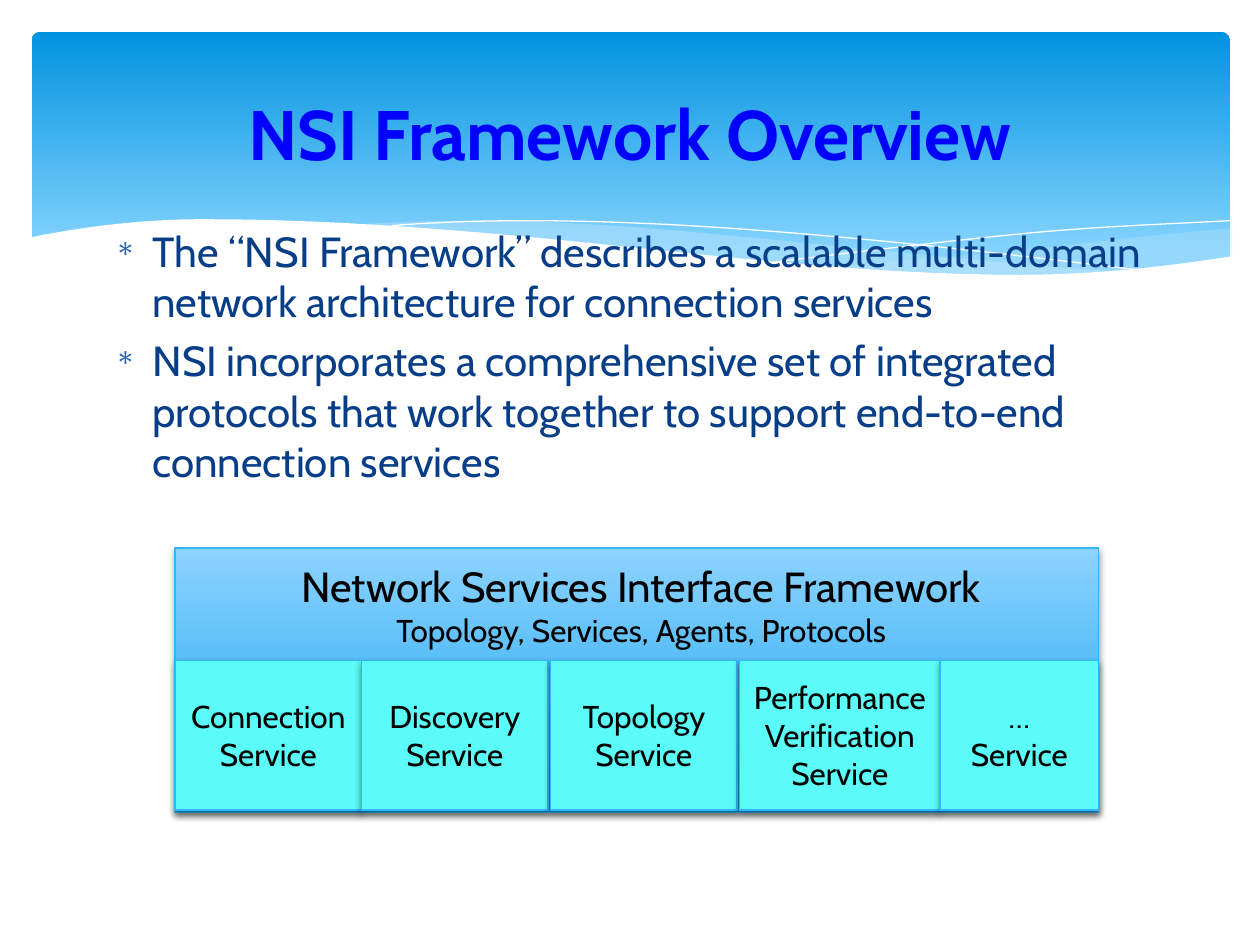
from dataclasses import dataclass
from itertools import pairwise

from lxml.etree import SubElement
from pptx import Presentation
from pptx.dml.color import RGBColor
from pptx.enum.shapes import MSO_SHAPE
from pptx.enum.text import MSO_ANCHOR, MSO_AUTO_SIZE, PP_ALIGN
from pptx.oxml.ns import qn
from pptx.util import Cm, Pt


@dataclass(frozen=True)
class Theme:
    font: str = "Cabin"
    title_size: int = 40
    heading_size: int = 24
    label_size: int = 18
    bullet_percent: int = 70
    title: str = "0000FF"
    body: str = "073E87"
    bullet: str = "2862AA"
    label: str = "000000"
    banner: tuple = (("0293E0", 0), ("83D3FE", 0.9))
    frame: tuple = (("8CD3FF", 0), ("14A2EF", 1))
    service: str = "5AFBF8"
    border: str = "31B6FD"
    pale_wave: str = "C6E7FC"
    white: str = "FFFFFF"
    shadow: str = "000000"


theme = Theme()


def style_text(para, text, size, color, align=PP_ALIGN.CENTER):
    para.text = text
    para.alignment = align
    para.font.name = theme.font
    para.font.size = Pt(size)
    para.font.color.rgb = RGBColor.from_string(color)


def add_block(kind, left, top, width, height, fill, outlined=True):
    block = page.shapes.add_shape(kind, Cm(left), Cm(top), Cm(width), Cm(height))
    block.shadow.inherit = False
    if isinstance(fill, str):
        block.fill.solid()
        block.fill.fore_color.rgb = RGBColor.from_string(fill)
    else:
        block.fill.gradient()
        block.fill.gradient_angle = 270
        for stop, (color, position) in zip(block.fill.gradient_stops, fill):
            stop.color.rgb = RGBColor.from_string(color)
            stop.position = position
    if not outlined:
        block.line.fill.background()
        return block
    block.line.color.rgb = RGBColor.from_string(theme.border)
    block.line.width = Pt(0.75)
    effects = block.element.spPr.find(qn("a:effectLst"))
    shadow = SubElement(effects, qn("a:outerShdw"), blurRad=str(Pt(4)), dist=str(Pt(2)),
                        dir="5400000", rotWithShape="0")
    shade = SubElement(shadow, qn("a:srgbClr"), val=theme.shadow)
    SubElement(shade, qn("a:alpha"), val="38000")
    return block


deck = Presentation()
deck.slide_width, deck.slide_height = Cm(25.4), Cm(19.05)
page = deck.slides.add_slide(deck.slide_layouts[1])
title, body = page.placeholders

banner = add_block(MSO_SHAPE.ROUNDED_RECTANGLE, 0.64, 0.64, 24.15, 4.9, theme.banner, False)
banner.adjustments[0] = 0.034

edge_knots = {
    "right top": [(16.84, 5.38, -0.09), (21.89, 4.9, -0.12), (24.84, 4.6, -0.08)],
    "right bottom": [(16.84, 5.38, 0.07), (20.83, 5.54, 0), (24.84, 5.18, -0.15)],
    "middle top": [(7.32, 4.52, -0.07), (9.68, 4.45, 0), (16.03, 4.88, 0.1), (22.71, 5.49, 0.07)],
    "middle bottom": [(7.32, 4.52, 0.06), (11.46, 4.88, 0.11), (20.83, 5.54, 0),
                      (22.71, 5.49, -0.06)],
    "falling": [(7.9, 4.55, -0.08), (10.62, 4.45, 0), (16.94, 4.78, 0.09), (23.09, 5.46, 0.12)],
    "rising": [(15.62, 5.28, -0.12), (20.52, 4.72, -0.1), (24.82, 4.45, -0.05)],
    "white top": [(0.64, 4.78, -0.2), (4.11, 4.42, 0), (11.4, 4.85, 0.1), (20.57, 5.54, 0),
                  (24.87, 5.16, -0.16)],
    "white bottom": [(0.64, 6.15, 0), (24.87, 6.15, 0)],
}
steps = 16
edges = {}
for name, knots in edge_knots.items():
    edge = [(Cm(knots[0][0]), Cm(knots[0][1]))]
    for (x0, y0, slope0), (x1, y1, slope1) in pairwise(knots):
        span = x1 - x0
        for step in range(1, steps + 1):
            t = step / steps
            blend = t * t * (3 - 2 * t)
            bend = span * t * (1 - t) * (slope0 * (1 - t) - slope1 * t)
            edge.append((Cm(x0 + span * t), Cm(y0 + (y1 - y0) * blend + bend)))
    edges[name] = edge

for top_edge, bottom_edge, color, opacity in [
    ("right top", "right bottom", theme.pale_wave, 29),
    ("middle top", "middle bottom", theme.pale_wave, 40),
    ("falling", None, theme.white, 100),
    ("rising", None, theme.white, 100),
    ("white top", "white bottom", theme.white, 100),
]:
    outline = edges[top_edge] + (edges[bottom_edge][::-1] if bottom_edge else [])
    builder = page.shapes.build_freeform(*outline[0])
    builder.add_line_segments(outline[1:], close=bottom_edge is not None)
    wave = builder.convert_to_shape()
    wave.shadow.inherit = False
    if bottom_edge:
        wave.fill.solid()
        wave.fill.fore_color.rgb = RGBColor.from_string(color)
        wave.line.fill.background()
        shade = wave.element.spPr.find(qn("a:solidFill")).find(qn("a:srgbClr"))
        SubElement(shade, qn("a:alpha"), val=str(opacity * 1000))
    else:
        wave.fill.background()
        wave.line.color.rgb = RGBColor.from_string(color)
        wave.line.width = Pt(0)

for holder, left, top, width, height in [
    (title, 1.27, 0.94, 22.86, 3.48),
    (body, 2.06, 4.42, 22.48, 5.74),
]:
    holder.left, holder.top, holder.width, holder.height = Cm(left), Cm(top), Cm(width), Cm(height)
    holder.text_frame.auto_size = MSO_AUTO_SIZE.NONE
    page.shapes.element.append(holder.element)

title.text_frame.vertical_anchor = MSO_ANCHOR.MIDDLE
title_para = title.text_frame.paragraphs[0]
style_text(title_para, "NSI Framework Overview", theme.title_size, theme.title)
title_para.font.bold = True

statements = [
    "The “NSI Framework” describes a scalable multi-domain network architecture "
    "for connection services",
    "NSI incorporates a comprehensive set of integrated protocols that work together "
    "to support end-to-end connection services",
]
hanging = Cm(0.76)
body.text_frame.text = "\n".join(statements)
for para, statement in zip(body.text_frame.paragraphs, statements):
    style_text(para, statement, theme.heading_size, theme.body, PP_ALIGN.LEFT)
    properties = para._p.get_or_add_pPr()
    properties.set("marL", str(hanging))
    properties.set("indent", str(-hanging))
    bullet_color = SubElement(properties, qn("a:buClr"))
    SubElement(bullet_color, qn("a:srgbClr"), val=theme.bullet)
    SubElement(properties, qn("a:buSzPct"), val=str(theme.bullet_percent * 1000))
    SubElement(properties, qn("a:buFont"), typeface="Symbol")
    SubElement(properties, qn("a:buChar"), char="∗")
    properties.append(properties.find(qn("a:defRPr")))

frame_left, frame_width = 3.53, 18.62
add_block(MSO_SHAPE.RECTANGLE, frame_left, 11.05, frame_width, 5.33, theme.frame)

service_left = frame_left
for service, service_width, gap_after in [
    ("Connection", 3.76, 0),
    ("Discovery", 3.76, 0.05),
    ("Topology", 3.76, 0.05),
    ("Performance Verification", 4.04, 0),
    ("…", 3.2, 0),
]:
    box = add_block(MSO_SHAPE.RECTANGLE, service_left, 13.31, service_width, 3.02, theme.service)
    box.text_frame.word_wrap = True
    box.text_frame.vertical_anchor = MSO_ANCHOR.MIDDLE
    style_text(box.text_frame.paragraphs[0], service, theme.label_size, theme.label)
    style_text(box.text_frame.add_paragraph(), "Service", theme.label_size, theme.label)
    service_left += service_width + gap_after

heading = page.shapes.add_textbox(Cm(5.61), Cm(11.18), Cm(14.63), Cm(2.06)).text_frame
heading.word_wrap = False
heading.auto_size = MSO_AUTO_SIZE.SHAPE_TO_FIT_TEXT
style_text(heading.paragraphs[0], "Network Services Interface Framework",
           theme.heading_size, theme.label)
style_text(heading.add_paragraph(), "Topology, Services, Agents, Protocols",
           theme.label_size, theme.label)

deck.save("out.pptx")
